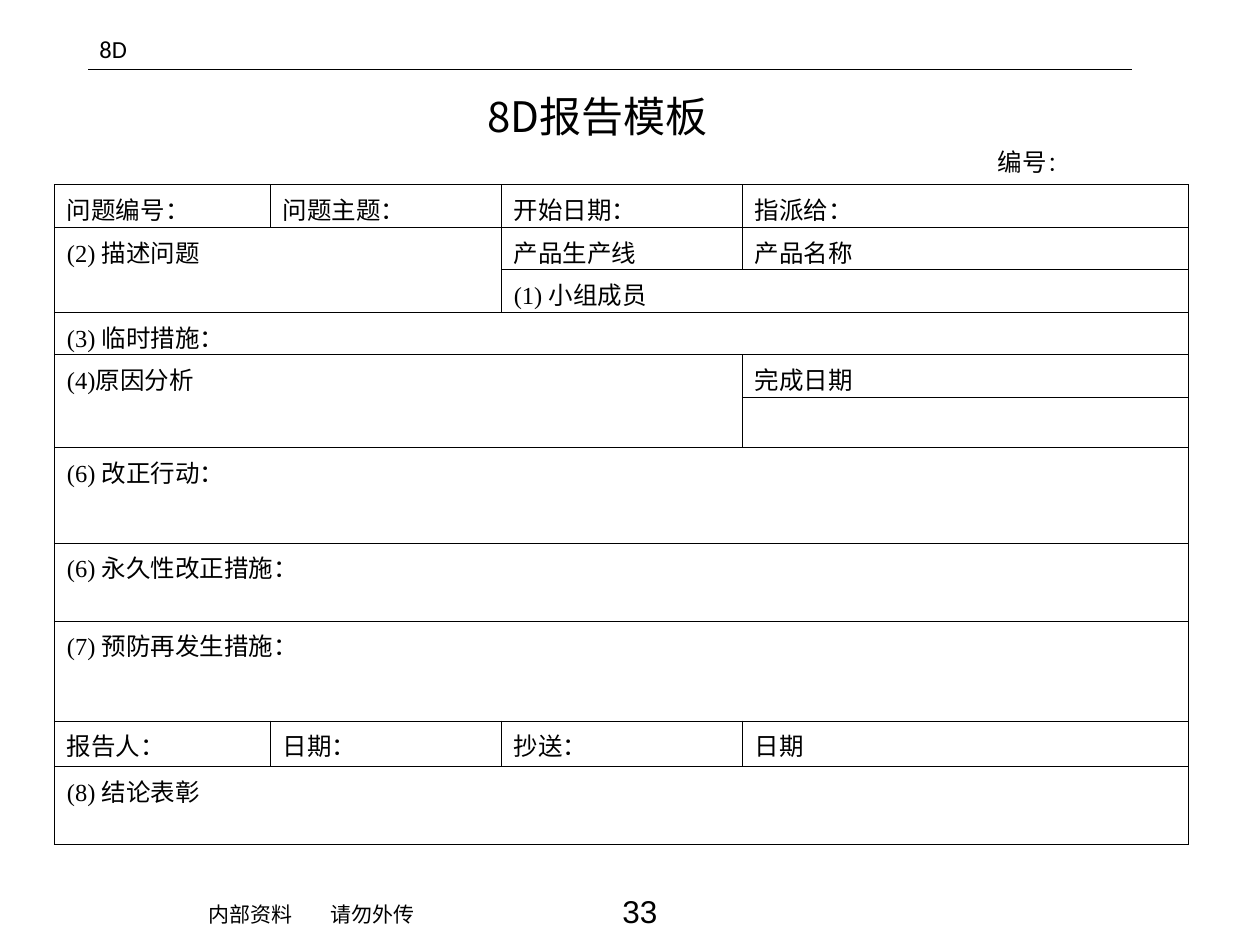
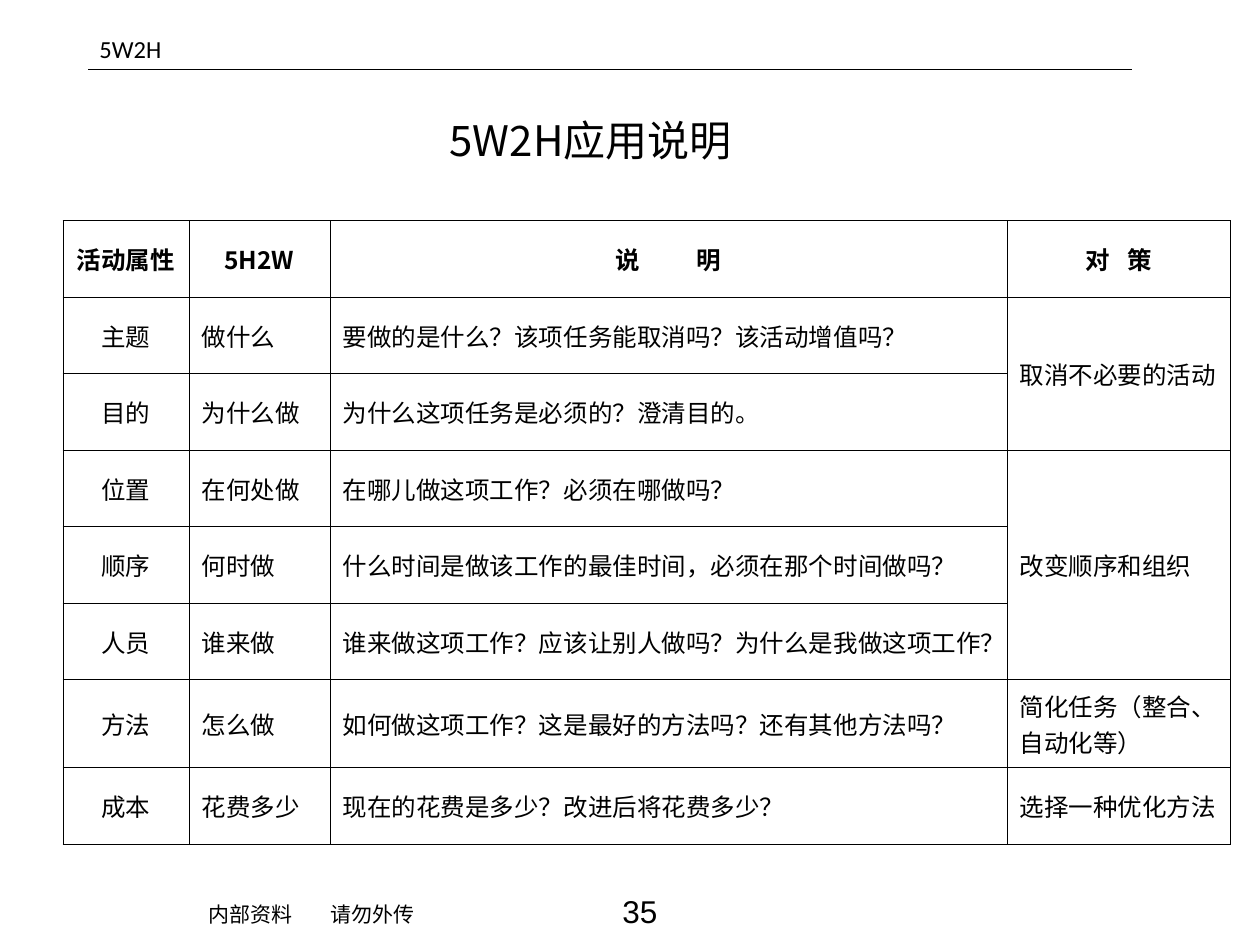
from lxml.etree import SubElement
from pptx import Presentation
from pptx.dml.color import RGBColor
from pptx.enum.shapes import MSO_CONNECTOR
from pptx.enum.text import MSO_ANCHOR, MSO_AUTO_SIZE, PP_ALIGN
from pptx.oxml.ns import qn
from pptx.util import Pt

BLACK = "000000"
CJK = "Noto Sans CJK SC"
LEFT, CENTER = PP_ALIGN.LEFT, PP_ALIGN.CENTER
TOP, MIDDLE = MSO_ANCHOR.TOP, MSO_ANCHOR.MIDDLE
FOOTER = "内部资料\t请勿外传"
FOOTER_TAB = 69.6

REPORT = {
    "section": "8D", "title": "8D报告模板", "page": "33",
    "title_box": (267.8, 48.2, 146.9, 36), "title_anchor": MIDDLE,
    "origin": (31, 105.6), "font": "Times New Roman",
    "anchor": TOP, "hanging": 27, "header": False, "centered": 0,
    "cols": [123.4, 132, 137.7, 254.9],
    "rows": [24.3] * 6 + [54.4, 44.6, 57.1, 26.2, 44.6],
    "cells": [
        ["问题编号：", "问题主题：", "开始日期：", "指派给："],
        ["(2) 描述问题", "", "产品生产线", "产品名称"],
        ["", "", "(1) 小组成员"],
        ["(3) 临时措施："],
        ["(4)原因分析", "", "", "完成日期"],
        [],
        ["(6) 改正行动："],
        ["(6) 永久性改正措施："],
        ["(7) 预防再发生措施："],
        ["报告人：", "日期：", "抄送：", "日期"],
        ["(8) 结论表彰"],
    ],
    "spans": [(1, 0, 2, 2), (2, 2, 1, 2), (4, 0, 2, 3)]
             + [(row, 0, 1, 4) for row in (3, 6, 7, 8, 10)],
}

QUESTIONS = {
    "section": "5W2H", "title": "5W2H应用说明", "page": "35",
    "title_box": (105, 62, 465, 45.4), "title_anchor": TOP,
    "origin": (36, 126), "font": CJK,
    "anchor": MIDDLE, "hanging": 0, "header": True, "centered": 1,
    "cols": [72, 80.6, 386.9, 127.4],
    "rows": [43.75] * 6 + [50.3, 43.75],
    "cells": [
        ["活动属性", "5H2W", ("说 ", 14.5, "明"), ("对 ", 3.5, "策")],
        ["主题", "做什么", "要做的是什么？该项任务能取消吗？该活动增值吗？", "取消不必要的活动"],
        ["目的", "为什么做", "为什么这项任务是必须的？澄清目的。"],
        ["位置", "在何处做", "在哪儿做这项工作？必须在哪做吗？", "改变顺序和组织"],
        ["顺序", "何时做", "什么时间是做该工作的最佳时间，必须在那个时间做吗？"],
        ["人员", "谁来做", "谁来做这项工作？应该让别人做吗？为什么是我做这项工作？"],
        ["方法", "怎么做", "如何做这项工作？这是最好的方法吗？还有其他方法吗？",
         "简化任务（整合、自动化等）"],
        ["成本", "花费多少", "现在的花费是多少？改进后将花费多少？", "选择一种优化方法"],
    ],
    "spans": [(1, 3, 2, 1), (3, 3, 3, 1)],
}


def color(hex_code):
    return RGBColor.from_string(hex_code)


def style(p, font, size, align=LEFT, bold=False):
    p.alignment = align
    p.font.size, p.font.bold, p.font.name = Pt(size), bold, font
    p.font.color.rgb = color(BLACK)
    SubElement(p.font._element, qn("a:ea"), typeface=CJK)


def add_text(s, box, text, font, size, align=LEFT, anchor=TOP, wrap=True):
    tf = s.shapes.add_textbox(*map(Pt, box)).text_frame
    tf.word_wrap, tf.vertical_anchor = wrap, anchor
    p = tf.paragraphs[0]
    p.add_run().text = text
    style(p, font, size, align)
    return p


def add_frame(s, content):
    rule = s.shapes.add_connector(MSO_CONNECTOR.STRAIGHT, Pt(50.4), Pt(39.6), Pt(646.6), Pt(39.6))
    rule.line.color.rgb, rule.line.width = color(BLACK), Pt(0.75)
    SubElement(rule._element.spPr, qn("a:effectLst"))

    p = add_text(s, (112.3, 511.9, 258.5, 36), FOOTER, "Arial", 12)
    tabs = p._p.pPr.makeelement(qn("a:tabLst"))
    p._p.pPr.insert(0, tabs)
    SubElement(tabs, qn("a:tab"), pos=str(Pt(FOOTER_TAB)), algn="l")
    add_text(s, (253.4, 506.2, 224.6, 28.8), content["page"], "Arial", 18, CENTER)
    add_text(s, (49.7, 15.8, 63.4, 24.5), content["section"], "Calibri", 14)

    title = s.shapes.title
    title.left, title.top, title.width, title.height = map(Pt, content["title_box"])
    tf = title.text_frame
    tf.text = content["title"]
    tf.auto_size, tf.word_wrap = MSO_AUTO_SIZE.NONE, False
    tf.vertical_anchor = content["title_anchor"]
    style(tf.paragraphs[0], CJK, 24, CENTER)


def add_borders(cell):
    tcPr = cell._tc.get_or_add_tcPr()
    for side in ("lnL", "lnR", "lnT", "lnB"):
        ln = SubElement(tcPr, qn(f"a:{side}"), w=str(Pt(0.45)))
        SubElement(SubElement(ln, qn("a:solidFill")), qn("a:srgbClr"), val=BLACK)
    cell.fill.background()


def fill_cell(cell, text, content, row, col):
    cell.vertical_anchor = content["anchor"]
    p = cell.text_frame.paragraphs[0]
    if isinstance(text, tuple):
        lead, gap, tail = text
        r = p.add_run()
        r.text = lead
        r.font._element.set("spc", str(round(gap * 100)))
        p.add_run().text = tail
    else:
        p.add_run().text = text
    heading = content["header"] and row == 0
    align = CENTER if heading or col < content["centered"] else LEFT
    style(p, content["font"], 14, align, heading)
    if content["hanging"]:
        p._p.pPr.set("marL", str(Pt(content["hanging"])))
        p._p.pPr.set("indent", str(-Pt(content["hanging"])))


def add_grid(s, content):
    cols, rows = content["cols"], content["rows"]
    table = s.shapes.add_table(len(rows), len(cols), *map(Pt, content["origin"]),
                               Pt(sum(cols)), Pt(sum(rows))).table
    table.first_row = table.horz_banding = False
    for column, width in zip(table.columns, cols):
        column.width = Pt(width)
    for line, height in zip(table.rows, rows):
        line.height = Pt(height)
    for cell in table.iter_cells():
        add_borders(cell)
    for row, texts in enumerate(content["cells"]):
        for col, text in enumerate(texts):
            if text:
                fill_cell(table.cell(row, col), text, content, row, col)
    for row, col, height, width in content["spans"]:
        table.cell(row, col).merge(table.cell(row + height - 1, col + width - 1))


prs = Presentation()
prs.slide_width, prs.slide_height = Pt(720), Pt(540)
for content in (REPORT, QUESTIONS):
    s = prs.slides.add_slide(prs.slide_layouts[5])
    add_frame(s, content)
    add_grid(s, content)

p = add_text(prs.slides[0], (557.3, 79.9, 54, 24.5), "编号", "Calibri", 14, CENTER, MIDDLE, False)
r = p.add_run()
r.text = "："
r.font.size = Pt(12)

prs.save("out.pptx")
